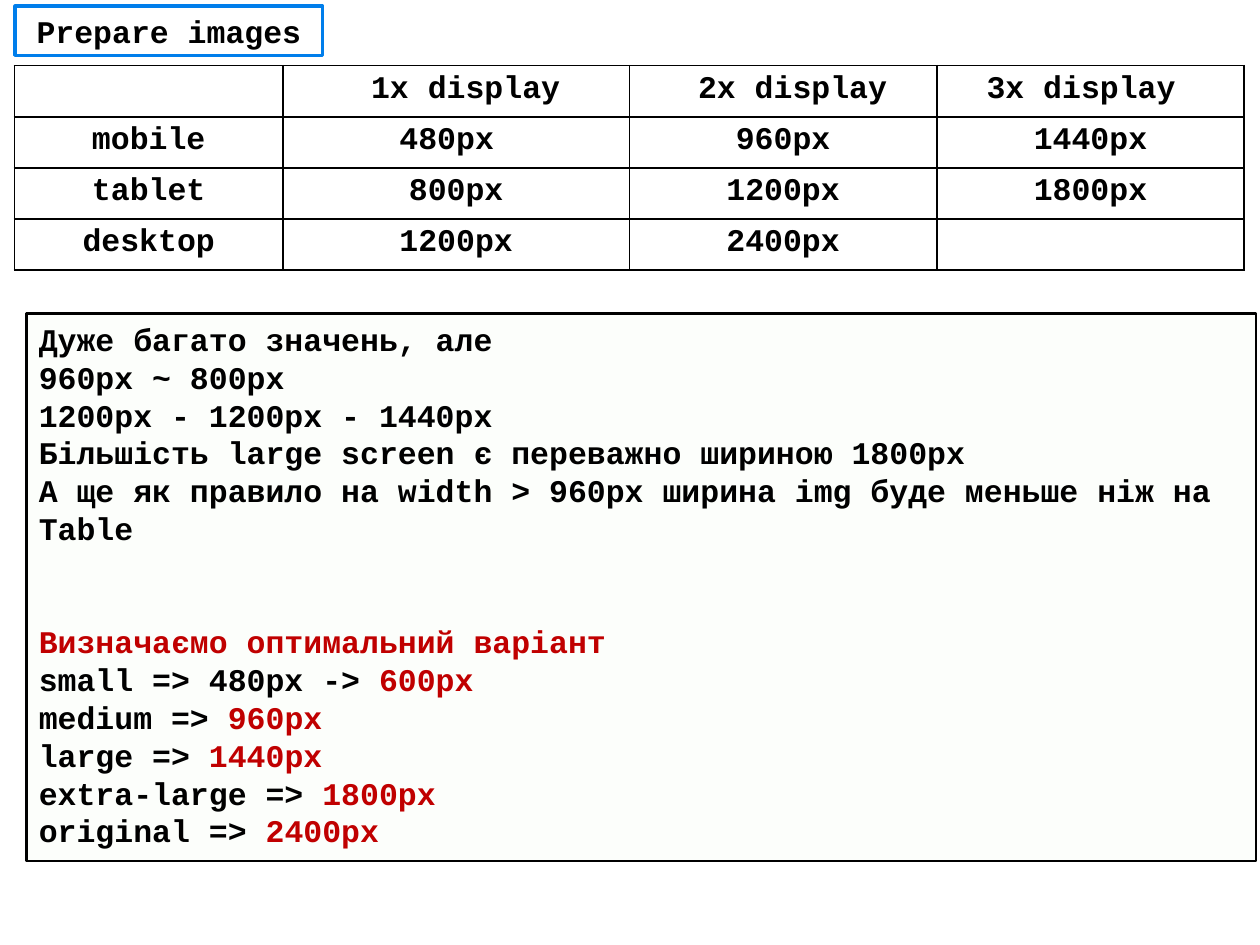
import pptx
import pptx.util
import pptx.dml.color
import pptx.enum.shapes
import pptx.enum.text
import pptx.oxml
import pptx.oxml.ns
from dataclasses import dataclass

Pt = pptx.util.Pt
ALIGN = pptx.enum.text.PP_ALIGN
ANCHOR = pptx.enum.text.MSO_ANCHOR
qn = pptx.oxml.ns.qn
W, H = pptx.util.Inches(10), pptx.util.Inches(7.5)


@dataclass
class Theme:
    font: str = "Courier New"
    size: int = 18
    leading: float = 21.6
    ink: str = "000000"
    accent: str = "C00000"
    frame: str = "007EEB"
    paper: str = "FFFFFF"
    tint: str = "E5F6D8"


def rgb(value):
    return pptx.dml.color.RGBColor.from_string(value)


class Builder:
    def __init__(self, s, theme):
        self.s, self.t = s, theme

    def area(self, x, y, w, h):
        """Turn percentages of the slide into lengths."""
        return [round(v * side / 100) for v, side in zip((x, y, w, h), (W, H, W, H))]

    def style(self, r, color):
        r.font.name, r.font.size, r.font.bold = self.t.font, Pt(self.t.size), True
        r.font.color.rgb = rgb(color)

    def box(self, area, fill, line, width, alpha=None):
        sp = self.s.shapes.add_shape(
            pptx.enum.shapes.MSO_SHAPE.RECTANGLE, *self.area(*area))
        sp.shadow.inherit = False
        sp.fill.solid()
        sp.fill.fore_color.rgb = rgb(fill)
        sp.line.color.rgb = rgb(line)
        sp.line.width = Pt(width)
        if alpha is not None:
            clr = sp._element.spPr.find(qn("a:solidFill"))[0]
            clr.append(pptx.oxml.parse_xml(
                '<a:alpha xmlns:a="http://schemas.openxmlformats.org/drawingml/2006/main"'
                f' val="{alpha * 1000}"/>'))
        sp.text_frame.word_wrap = True
        return sp.text_frame

    def title(self, area, text):
        tf = self.box(area, self.t.paper, self.t.frame, 2)
        tf.vertical_anchor = ANCHOR.MIDDLE
        tf.text = text
        p = tf.paragraphs[0]
        p.alignment = ALIGN.CENTER
        self.style(p.runs[0], self.t.ink)

    def notes(self, area, lines, gap_line):
        """Each line is a pair: plain text, then accented text."""
        tf = self.box(area, self.t.tint, self.t.ink, 1.5, alpha=8)
        tf.vertical_anchor = ANCHOR.TOP
        for i, line in enumerate(lines):
            p = tf.paragraphs[0] if i == 0 else tf.add_paragraph()
            p.alignment = ALIGN.LEFT
            p.line_spacing = Pt(self.t.leading)
            if i == gap_line:
                p.space_before = Pt(2 * self.t.leading)
            for text, color in zip(line, (self.t.ink, self.t.accent)):
                if text:
                    r = p.add_run()
                    r.text = text
                    self.style(r, color)

    def borders(self, cell):
        tcPr = cell._tc.get_or_add_tcPr()
        for i, side in enumerate(("lnL", "lnR", "lnT", "lnB")):
            tcPr.insert(i, pptx.oxml.parse_xml(
                f'<a:{side} xmlns:a="http://schemas.openxmlformats.org/drawingml/2006/main"'
                f' w="{Pt(1)}"><a:solidFill><a:srgbClr val="{self.t.ink}"/>'
                f'</a:solidFill></a:{side}>'))

    def table(self, area, shares, rows):
        box = self.area(*area)
        tbl = self.s.shapes.add_table(len(rows), len(shares), *box).table
        tbl.first_row = tbl.horz_banding = False
        for col, share in zip(tbl.columns, shares):
            col.width = round(W * share / 100)
        for row, texts in zip(tbl.rows, rows):
            row.height = box[3] // len(rows)
            for cell, text in zip(row.cells, texts):
                cell.fill.background()
                self.borders(cell)
                cell.text_frame.text = text
                p = cell.text_frame.paragraphs[0]
                p.alignment = ALIGN.CENTER
                p.font.size = Pt(self.t.size)
                for r in p.runs:
                    self.style(r, self.t.ink)


prs = pptx.Presentation()
prs.slide_width, prs.slide_height = W, H
b = Builder(prs.slides.add_slide(prs.slide_layouts[6]), Theme())

# Observations and the chosen widths
sizes = [("small => 480px -> ", "600px"), ("medium => ", "960px"),
         ("large => ", "1440px"), ("extra-large => ", "1800px"),
         ("original => ", "2400px")]
remarks = ["Дуже багато значень, але ", "960px ~ 800px", "1200px - 1200px - 1440px",
           "Більшість large screen є переважно шириною 1800px",
           "А ще як правило на width > 960px ширина img буде меньше ніж на ", "Table"]
b.notes((2.1, 33.2, 97.6, 57.9),
        [(text, "") for text in remarks]
        + [("", "Визначаємо оптимальний варіант ")] + sizes,
        gap_line=len(remarks))

# Heading
b.title((1.2, 0.65, 24.4, 5.2), "Prepare images")

# Image widths by device and display density
b.table((1.15, 6.95, 97.6, 21.6), (21.3, 27.5, 24.4, 24.4), [
    ("", " 1x display", " 2x display", "3x display "),
    ("mobile", "480px ", "960px", "1440px"),
    ("tablet", " 800px ", "1200px", "1800px"),
    ("desktop", "1200px", "2400px", ""),
])

prs.save("out.pptx")
